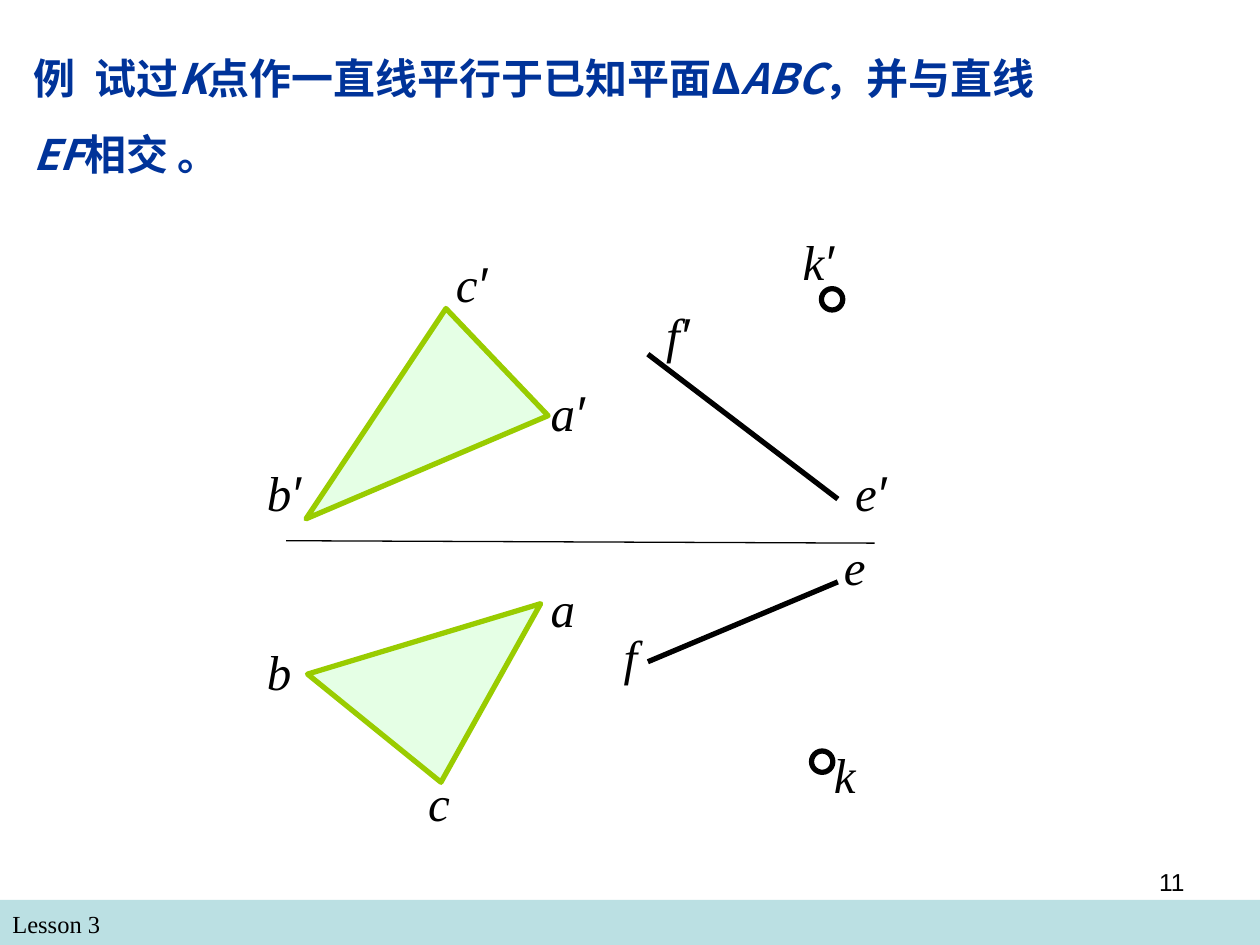
"""Build a descriptive geometry exercise slide with two projections."""
import lxml.etree
import pptx
import pptx.dml.color
import pptx.enum.shapes
import pptx.enum.text
import pptx.oxml.ns
import pptx.util

Cm = pptx.util.Cm
COLORS = {"title": "003399", "ink": "000000", "edge": "99CC00",
          "face": "CCFFCC", "bar": "BBE0E3", "paper": "FFFFFF"}
SANS, SERIF, CHINESE = "Arial", "Times New Roman", "Noto Sans CJK SC"

TITLE_SPANS = [("例  试过", False), ("K", True), ("点作一直线平行于已知平面Δ", False),
               ("ABC", True), ("，并与直线", False), ("EF", True), ("相交 。", False)]
TRIANGLES = [
    [(8.89, 15.77), (6.2, 13.59), (10.9, 12.17)],
    [(6.17, 10.46), (8.99, 6.22), (11.05, 8.38)],
]
LINES = [
    ((5.77, 10.9), (17.63, 10.95), 0.75),
    ((16.89, 10.06), (13.06, 7.14), 3),
    ((13.06, 13.34), (16.89, 11.73), 3),
]
LABELS = [
    ("a", 10.85, 11.53, 0.79), ("c′", 8.94, 4.98, 2.49), ("b", 5.13, 12.8, 1.14),
    ("a′", 10.85, 7.59, 1.9), ("c", 8.38, 15.44, 0.71), ("b′", 5.13, 9.19, 2.72),
    ("f′", 13.18, 6.02, 1.45), ("e′", 16.99, 9.19, 2.21), ("e", 16.76, 10.69, 1.45),
    ("f", 12.32, 12.5, 1.27), ("k′", 15.93, 4.55, 1.7), ("k", 16.56, 14.88, 0.69),
]
LABEL_HEIGHT = 1.45
K_POINTS = [(16.36, 15.14), (16.56, 5.82)]
POINT_SIZE = 0.43


def rgb(name):
    return pptx.dml.color.RGBColor.from_string(COLORS[name])


def format_span(span, font, size, color="ink", bold=False, italic=False):
    span.font.name = font
    span.font.size = pptx.util.Pt(size)
    span.font.color.rgb = rgb(color)
    span.font.bold = bold
    span.font.italic = italic


def style_shape(shape, fill, line=None, width=3):
    shape.shadow.inherit = False
    shape.fill.solid()
    shape.fill.fore_color.rgb = rgb(fill)
    if line:
        shape.line.color.rgb = rgb(line)
        shape.line.width = pptx.util.Pt(width)
    else:
        shape.line.fill.background()


def add_text(shapes, spans, place, size, italic=False):
    box = shapes.add_textbox(*map(Cm, place))
    box.text_frame.word_wrap = True
    para = box.text_frame.paragraphs[0]
    for text, font in spans:
        span = para.add_run()
        span.text = text
        format_span(span, font, size, italic=italic)
    return para


def add_triangle(shapes, corners):
    points = [tuple(map(Cm, corner)) for corner in corners]
    builder = shapes.build_freeform(*points[0], scale=1.0)
    builder.add_line_segments(points[1:], close=True)
    triangle = builder.convert_to_shape()
    style_shape(triangle, "face", "edge")
    color = triangle.fill._xPr.find(".//" + pptx.oxml.ns.qn("a:srgbClr"))
    lxml.etree.SubElement(color, pptx.oxml.ns.qn("a:alpha"), val="50000")


def add_line(shapes, start, end, width):
    line = shapes.add_connector(pptx.enum.shapes.MSO_CONNECTOR.STRAIGHT,
                                *map(Cm, start + end))
    line.line.color.rgb = rgb("ink")
    line.line.width = pptx.util.Pt(width)
    lxml.etree.SubElement(line._element.spPr, pptx.oxml.ns.qn("a:effectLst"))


def write_title(title):
    title.left, title.top, title.width, title.height = map(Cm, (0.43, 0.43, 20.93, 3.38))
    frame = title.text_frame
    frame.word_wrap = True
    frame.auto_size = pptx.enum.text.MSO_AUTO_SIZE.NONE
    frame.vertical_anchor = pptx.enum.text.MSO_ANCHOR.TOP
    para = frame.paragraphs[0]
    para.alignment = pptx.enum.text.PP_ALIGN.LEFT
    para.line_spacing = 1.5
    para.space_before = pptx.util.Pt(0)
    for text, italic in TITLE_SPANS:
        span = para.add_run()
        span.text = text
        format_span(span, CHINESE, 24, "title", True, italic)
        lxml.etree.SubElement(span.font._element, pptx.oxml.ns.qn("a:ea"),
                              typeface=CHINESE)


def main():
    deck = pptx.Presentation()
    deck.slide_width, deck.slide_height = Cm(25.4), Cm(19.05)
    page = deck.slides.add_slide(deck.slide_layouts[5])
    write_title(page.shapes.title)

    bar = page.shapes.add_shape(pptx.enum.shapes.MSO_SHAPE.RECTANGLE,
                                *map(Cm, (0, 18.14, 25.4, 0.91)))
    style_shape(bar, "bar")
    add_text(page.shapes, [("Lesson 3", SERIF)], (0, 18.21, 12.27, 0.86), 14)
    number = add_text(page.shapes, [("11", SANS)], (18.21, 17.35, 5.92, 1.32), 14)
    number.alignment = pptx.enum.text.PP_ALIGN.RIGHT

    drawing = page.shapes.add_group_shape().shapes
    for corners in TRIANGLES:
        add_triangle(drawing, corners)
    for start, end, width in LINES:
        add_line(drawing, start, end, width)
    for text, left, top, width in LABELS:
        spans = [(letter, SANS if letter == "′" else SERIF) for letter in text]
        add_text(drawing, spans, (left, top, width, LABEL_HEIGHT), 28, italic=True)
    for left, top in K_POINTS:
        point = drawing.add_shape(pptx.enum.shapes.MSO_SHAPE.OVAL,
                                  *map(Cm, (left, top, POINT_SIZE, POINT_SIZE)))
        style_shape(point, "paper", "ink")

    deck.save("out.pptx")


if __name__ == "__main__":
    main()
